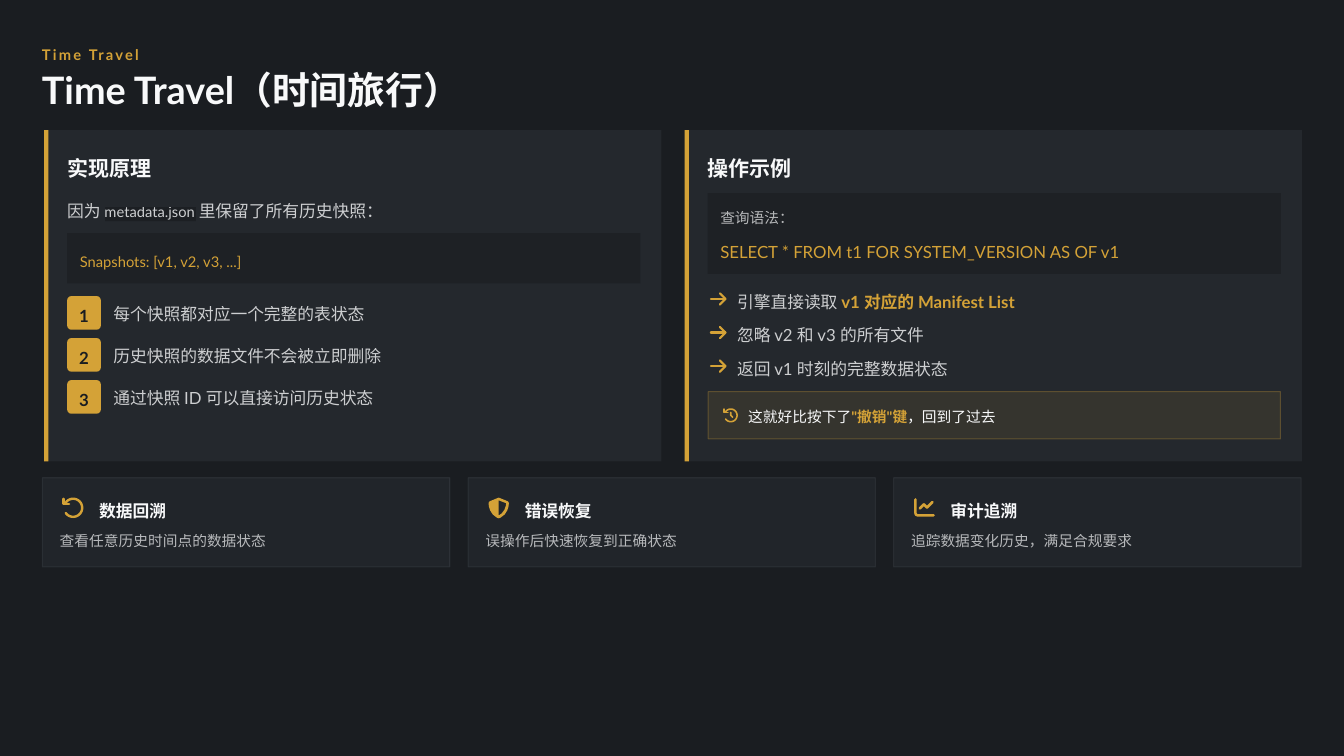
from dataclasses import dataclass
from math import cos, radians, sin

from lxml import etree
from pptx import Presentation
from pptx.dml.color import RGBColor
from pptx.enum import shapes, text
from pptx.oxml.ns import qn
from pptx.util import Pt

INK = {"back": "1A1D21", "gold": "D4A237", "white": "F8F9FA",
       "panel": "343A40", "edge": "495057"}
FACE = "Lato"


@dataclass
class Box:
    x: float
    y: float
    w: float
    h: float


@dataclass
class Style:
    size: float
    color: str = "white"
    alpha: int = 100
    bold: bool = False
    lead: float = 1.2
    center: bool = False


@dataclass
class Part:
    """A run that departs from the style of its paragraph."""
    words: str
    color: str = ""
    bold: bool = False
    size: float = 0
    mark: str = ""


@dataclass
class Icon:
    """Point lists in a small grid; width 0 means a filled outline."""
    paths: list
    width: float


@dataclass
class Card:
    icon: Icon
    head: str
    note: str


HEAD = Style(20, bold=True)
BODY = Style(16, alpha=80, lead=1.4)
POINT = Style(16, alpha=80, lead=1.3)
NOTE = Style(14, alpha=70)
NAME = Style(16, bold=True, lead=1.3)
BADGE = Style(16, "back", bold=True, lead=1.3, center=True)


def rgb(name: str) -> RGBColor:
    return RGBColor.from_string(INK[name])


def fade(colors: list, alpha: int) -> None:
    if alpha < 100:
        for color in colors:
            etree.SubElement(color, qn("a:alpha")).set("val", str(alpha * 1000))


def write(shape, parts: list, style: Style) -> None:
    frame = shape.text_frame
    frame.word_wrap = True
    frame.auto_size = text.MSO_AUTO_SIZE.NONE
    frame.vertical_anchor = text.MSO_ANCHOR.MIDDLE
    frame.margin_left = frame.margin_right = 0
    frame.margin_top = frame.margin_bottom = 0
    line = frame.paragraphs[0]
    line.alignment = text.PP_ALIGN.CENTER if style.center else text.PP_ALIGN.LEFT
    line.line_spacing = style.lead
    font = line.font
    font.name, font.size, font.bold = FACE, Pt(style.size), style.bold
    font.color.rgb = rgb(style.color)
    fade(line._p.xpath("./a:pPr//a:srgbClr"), style.alpha)
    for part in parts:
        run = line.add_run()
        run.text = part.words
        if part.color:
            run.font.color.rgb = rgb(part.color)
        if part.bold:
            run.font.bold = True
        if part.size:
            run.font.size = Pt(part.size)
        if part.mark:
            mark = etree.SubElement(run._r.get_or_add_rPr(), qn("a:highlight"))
            etree.SubElement(mark, qn("a:srgbClr")).set("val", INK[part.mark])


def label(slide, box: Box, style: Style, *parts):
    shape = slide.shapes.add_textbox(Pt(box.x), Pt(box.y), Pt(box.w), Pt(box.h))
    write(shape, [Part(p) if isinstance(p, str) else p for p in parts], style)
    return shape


def block(slide, box: Box, color: str, alpha: int = 100, edge: str = "",
          kind=shapes.MSO_SHAPE.RECTANGLE):
    shape = slide.shapes.add_shape(kind, Pt(box.x), Pt(box.y), Pt(box.w), Pt(box.h))
    shape.shadow.inherit = False
    shape.fill.solid()
    shape.fill.fore_color.rgb = rgb(color)
    props = shape.element.spPr
    fade(props.xpath("./a:solidFill/a:srgbClr"), alpha)
    if edge:
        shape.line.color.rgb = rgb(edge)
        shape.line.width = Pt(1)
        fade(props.xpath("./a:ln//a:srgbClr"), 30)
    else:
        shape.line.fill.background()
    return shape


def draw(slide, icon: Icon, x: float, y: float) -> None:
    solid = icon.width == 0
    pen = None
    for path in icon.paths:
        spots = [(Pt(x + a), Pt(y + b)) for a, b in path]
        if pen is None:
            pen = slide.shapes.build_freeform(*spots[0])
        else:
            pen.move_to(*spots[0])
        pen.add_line_segments(spots[1:], close=solid)
    shape = pen.convert_to_shape()
    shape.shadow.inherit = False
    if solid:
        shape.fill.solid()
        shape.fill.fore_color.rgb = rgb("gold")
        shape.line.fill.background()
    else:
        shape.fill.background()
        shape.line.color.rgb = rgb("gold")
        shape.line.width = Pt(icon.width)
        stroke = shape.line._get_or_add_ln()
        stroke.set("cap", "rnd")
        etree.SubElement(stroke, qn("a:round"))


def rewind(x: float, y: float, r: float) -> list:
    """An open ring with a corner mark at its upper left."""
    turn = [radians(a) for a in range(145, -151, -5)]
    ring = [(x + r * cos(a), y + r * sin(a)) for a in turn]
    hook = [(x + r * a, y + r * b) for a, b in ((-1.05, -1), (-1.05, -.42), (-.45, -.42))]
    return [ring, hook]


ARROW = Icon([[(1, 8.2), (15, 8.2)], [(9.6, 2.8), (15, 8.2), (9.6, 13.6)]], 2)
CLOCK = Icon(rewind(7.8, 6.8, 6) + [[(7.8, 3.9), (7.8, 6.8), (9.6, 8.6)]], 1.5)
UNDO = Icon(rewind(9.8, 9.8, 8.6), 2.3)
SHIELD = Icon([
    [(9.7, .1), (17.8, 3.4), (19, 4.2), (19.4, 5.5), (19, 8.8), (17.8, 12.4),
     (15.4, 16.2), (11.2, 19.4), (9.7, 19.8), (8.2, 19.4), (4, 16.2),
     (1.6, 12.4), (.4, 8.8), (0, 5.5), (.4, 4.2), (1.6, 3.4)],
    [(9.7, 2.7), (9.7, 17.1), (12.6, 15.1), (15.2, 11.6), (16.4, 8.2), (16.8, 5.5)]], 0)
CHART = Icon([
    [(1.2, 1.8), (1.2, 15), (1.7, 16.4), (3.1, 17), (18.5, 17)],
    [(5.2, 10.6), (9.2, 6.6), (12.2, 9.6), (17.4, 4.4)]], 2.4)

STEPS = ["每个快照都对应一个完整的表状态", "历史快照的数据文件不会被立即删除",
         "通过快照 ID 可以直接访问历史状态"]
POINTS = [["引擎直接读取 ", Part("v1 对应的 Manifest List", "gold", True)],
          ["忽略 v2 和 v3 的所有文件"], ["返回 v1 时刻的完整数据状态"]]
CARDS = [Card(UNDO, "数据回溯", "查看任意历史时间点的数据状态"),
         Card(SHIELD, "错误恢复", "误操作后快速恢复到正确状态"),
         Card(CHART, "审计追溯", "追踪数据变化历史，满足合规要求")]


def panel(slide, x: float, head: str) -> None:
    block(slide, Box(x, 124, 588, 315.4), "panel", 40)
    block(slide, Box(x, 124, 4, 315.4), "gold")
    label(slide, Box(x + 22, 144, 556, 28), HEAD, head)


def theory(slide, x: float) -> None:
    panel(slide, x, "实现原理")
    left = x + 22
    label(slide, Box(left, 184.4, 554, 26), BODY, "因为 ",
          Part("metadata.json ", size=14, mark="back"), "里保留了所有历史快照：")
    block(slide, Box(left, 222, 546, 48), "back", 60)
    label(slide, Box(left + 12, 239, 243, 17), Style(14, "gold"),
          "Snapshots: [v1, v2, v3, ...]")
    for i, step in enumerate(STEPS):
        y = 282 + 40 * i
        badge = block(slide, Box(left, y, 32, 32), "gold",
                      kind=shapes.MSO_SHAPE.ROUNDED_RECTANGLE)
        badge.adjustments[0] = .12
        write(badge, [Part(str(i + 1))], BADGE)
        label(slide, Box(left + 44, y, 510, 26), BODY, step)


def usage(slide, x: float) -> None:
    panel(slide, x, "操作示例")
    left = x + 22
    block(slide, Box(left, 184, 546, 77), "back", 60)
    label(slide, Box(left + 12, 196, 529, 20), NOTE, "查询语法：")
    label(slide, Box(left + 12, 227, 432, 19), Style(16, "gold", lead=1.3),
          "SELECT * FROM t1 FOR SYSTEM_VERSION AS OF v1")
    for i, parts in enumerate(POINTS):
        y = 272.2 + 32 * i
        draw(slide, ARROW, left + 2, y + 4.3)
        label(slide, Box(left + 28, y, 526, 24), POINT, *parts)
    block(slide, Box(left + .5, 373, 545, 45), "gold", 10, "gold")
    draw(slide, CLOCK, left + 14.2, 388.8)
    label(slide, Box(left + 38.6, 385.2, 501, 20), Style(14), "这就好比按下了",
          Part('"撤销"键', "gold", True), "，回到了过去")


def tile(slide, x: float, card: Card) -> None:
    block(slide, Box(x, 455, 388, 85), "panel", 30, "edge")
    draw(slide, card.icon, x + 19.5, 473.8)
    label(slide, Box(x + 54, 471.6, 72, 24), NAME, card.head)
    label(slide, Box(x + 16.5, 503.3, 362, 20), NOTE, card.note)


def main() -> None:
    deck = Presentation()
    deck.slide_width, deck.slide_height = Pt(1280), Pt(720)
    slide = deck.slides.add_slide(deck.slide_layouts[5])
    slide.background.fill.solid()
    slide.background.fill.fore_color.rgb = rgb("back")
    tag = label(slide, Box(40, 40, 1207, 20), Style(14, "gold", bold=True), "Time Travel")
    tag.text_frame.paragraphs[0].runs[0]._r.get_or_add_rPr().set("spc", "210")
    title = slide.shapes.title
    title.left, title.top, title.width, title.height = Pt(40), Pt(68), Pt(1218), Pt(40)
    write(title, [Part("Time Travel（时间旅行）")], Style(36, bold=True, lead=.9))
    theory(slide, 42)
    usage(slide, 652)
    for i, card in enumerate(CARDS):
        tile(slide, 40.4 + 405.4 * i, card)
    deck.save("out.pptx")


if __name__ == "__main__":
    main()
